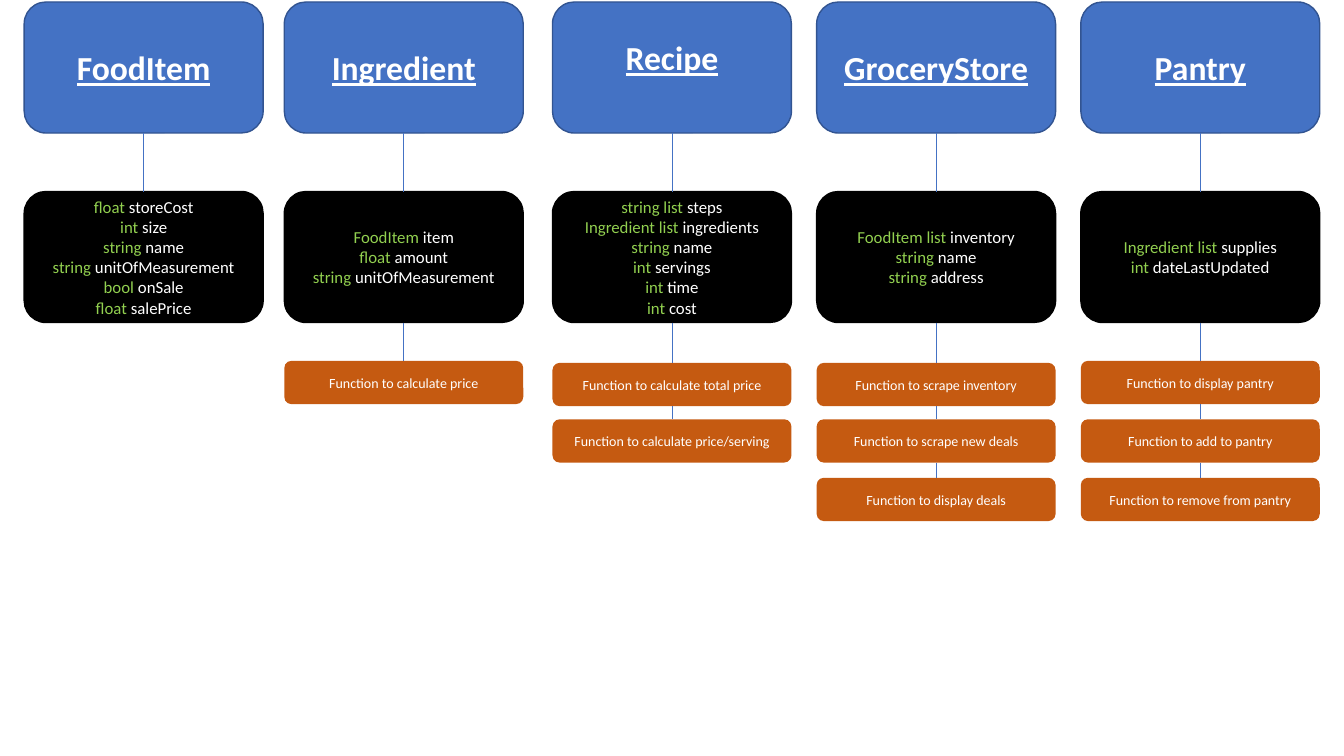
from dataclasses import dataclass
from itertools import pairwise

from lxml import etree
from pptx import Presentation
from pptx.dml.color import RGBColor
from pptx.enum.shapes import MSO_CONNECTOR, MSO_SHAPE
from pptx.enum.text import MSO_ANCHOR, PP_ALIGN
from pptx.oxml.ns import qn
from pptx.util import Inches, Pt

ROUNDED = MSO_SHAPE.ROUNDED_RECTANGLE
STRAIGHT = MSO_CONNECTOR.STRAIGHT
MIDDLE = MSO_ANCHOR.MIDDLE
CENTER = PP_ALIGN.CENTER
TOP_SITE, BOTTOM_SITE = 0, 2

COLORS = {
    "header": "4472C4",
    "header_edge": "325491",
    "attributes": "000000",
    "function": "C55A11",
    "type": "92D050",
    "text": "FFFFFF",
    "link": "4472C4",
}

SLIDE_WIDTH, SLIDE_HEIGHT = 13.33, 7.5
FIRST_COLUMN, COLUMN_PITCH, BOX_WIDTH = 0.24, 2.62, 2.37
HEADER_TOP, ATTRIBUTES_TOP, BOX_HEIGHT = 0.02, 1.9, 1.3
FUNCTIONS_TOP, FUNCTION_PITCH, FUNCTION_HEIGHT = 3.58, 0.58, 0.43


@dataclass(frozen=True)
class BoxStyle:
    height: float
    fill: str
    edge: str | None
    font: dict


@dataclass(frozen=True)
class ClassColumn:
    name: str
    attributes: list[tuple[str, str]]
    functions: list[str]
    shift: float = 0
    first_function_drop: float = 0
    header_lift: float = 0


HEADER = BoxStyle(BOX_HEIGHT, "header", "header_edge",
                  {"name": "Calibri", "size": Pt(24), "bold": True, "underline": True})
ATTRIBUTES = BoxStyle(BOX_HEIGHT, "attributes", "attributes",
                      {"name": "Calibri", "size": Pt(12)})
FUNCTION = BoxStyle(FUNCTION_HEIGHT, "function", None,
                    {"name": "Calibri", "size": Pt(10)})

CLASSES = [
    ClassColumn(
        "FoodItem",
        [("float", "storeCost"), ("int", "size"), ("string", "name"),
         ("string", "unitOfMeasurement"), ("bool", "onSale"), ("float", "salePrice")],
        [],
    ),
    ClassColumn(
        "Ingredient",
        [("FoodItem", "item"), ("float", "amount"), ("string", "unitOfMeasurement")],
        ["Function to calculate price"],
        shift=-0.04,
    ),
    ClassColumn(
        "Recipe",
        [("string list", "steps"), ("Ingredient list", "ingredients"), ("string", "name"),
         ("int", "servings"), ("int", "time"), ("int", "cost")],
        ["Function to calculate total price", "Function to calculate price/serving"],
        first_function_drop=0.02,
        header_lift=0.2,
    ),
    ClassColumn(
        "GroceryStore",
        [("FoodItem list", "inventory"), ("string", "name"), ("string", "address")],
        ["Function to scrape inventory", "Function to scrape new deals",
         "Function to display deals"],
        first_function_drop=0.02,
    ),
    ClassColumn(
        "Pantry",
        [("Ingredient list", "supplies"), ("int", "dateLastUpdated")],
        ["Function to display pantry", "Function to add to pantry",
         "Function to remove from pantry"],
    ),
]


def color(key: str) -> RGBColor:
    return RGBColor.from_string(COLORS[key])


def add_box(slide, left: float, top: float, style: BoxStyle,
            lines: list[list[tuple[str, str]]]):
    box = slide.shapes.add_shape(ROUNDED, Inches(left), Inches(top),
                                 Inches(BOX_WIDTH), Inches(style.height))
    box.shadow.inherit = False
    box.fill.solid()
    box.fill.fore_color.rgb = color(style.fill)
    if style.edge:
        box.line.color.rgb = color(style.edge)
        box.line.width = Pt(1)
    else:
        box.line.fill.background()
    frame = box.text_frame
    frame.word_wrap = True
    frame.vertical_anchor = MIDDLE
    for index, spans in enumerate(lines):
        para = frame.add_paragraph() if index else frame.paragraphs[0]
        para.alignment = CENTER
        for text, color_key in spans:
            span = para.add_run()
            span.text = text
            for attribute, value in style.font.items():
                setattr(span.font, attribute, value)
            span.font.color.rgb = color(color_key)
    return box


def link(slide, upper, lower) -> None:
    connector = slide.shapes.add_connector(STRAIGHT, 0, 0, 0, 0)
    connector.begin_connect(upper, BOTTOM_SITE)
    connector.end_connect(lower, TOP_SITE)
    connector.line.color.rgb = color("link")
    connector.line.width = Pt(0.5)
    etree.SubElement(connector._element.spPr, qn("a:effectLst"))


def add_class(slide, column: int, entry: ClassColumn) -> None:
    left = FIRST_COLUMN + column * COLUMN_PITCH + entry.shift
    header = add_box(slide, left, HEADER_TOP, HEADER, [[(entry.name, "text")]])
    header.text_frame.margin_bottom = Inches(0.05 + entry.header_lift)
    attributes = add_box(
        slide, left, ATTRIBUTES_TOP, ATTRIBUTES,
        [[(f"{kind} ", "type"), (name, "text")] for kind, name in entry.attributes])
    chain = [header, attributes]
    for row, text in enumerate(entry.functions):
        drop = 0 if row else entry.first_function_drop
        top = FUNCTIONS_TOP + row * FUNCTION_PITCH + drop
        chain.append(add_box(slide, left, top, FUNCTION, [[(text, "text")]]))
    for upper, lower in pairwise(chain):
        link(slide, upper, lower)


deck = Presentation()
deck.slide_width = Inches(SLIDE_WIDTH)
deck.slide_height = Inches(SLIDE_HEIGHT)
page = deck.slides.add_slide(deck.slide_layouts[6])
for column, entry in enumerate(CLASSES):
    add_class(page, column, entry)
deck.save("out.pptx")
